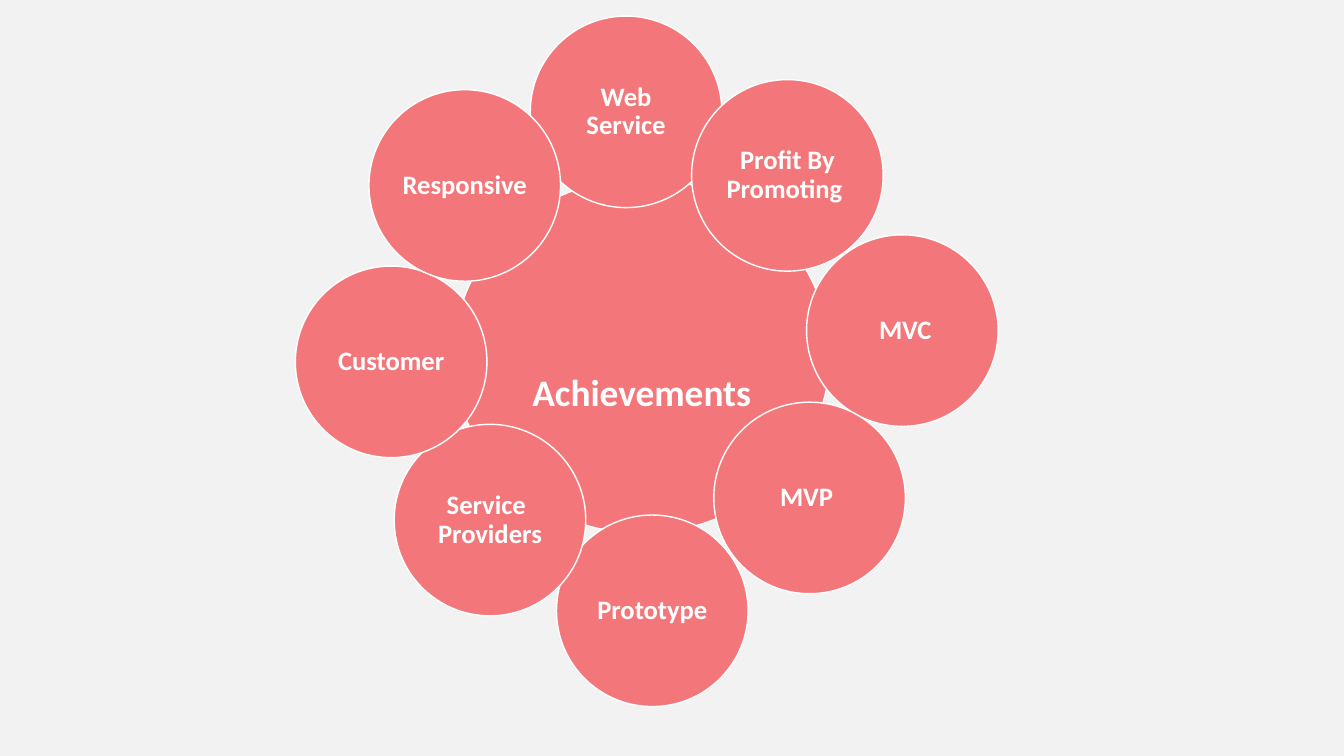
import pptx
import pptx.dml.color
import pptx.enum.shapes
import pptx.enum.text
import pptx.util
from pptx.util import Inches

COLOURS = {"background": "F2F2F2", "circle": "F3777A", "white": "FFFFFF"}
CIRCLE_SIZE = 1.9

# Left, top, label, right-to-left; clockwise from the top
ACHIEVEMENTS = [
    (5.26, 0.16, "Web Service", False),
    (6.86, 0.79, "Profit By Promoting ", False),
    (8, 2.33, " MVC", False),
    (7.08, 3.99, "MVP ", False),
    (5.52, 5.11, "Prototype", False),
    (3.91, 4.21, " Service Providers", True),
    (2.93, 2.64, "Customer", True),
    (3.66, 0.89, "Responsive", False),
]


def colour(name):
    return pptx.dml.color.RGBColor.from_string(COLOURS[name])


def add_circle(page, left, top, width, height, label, size, inset):
    """Add a labelled ellipse and return it."""
    circle = page.shapes.add_shape(
        pptx.enum.shapes.MSO_SHAPE.OVAL,
        Inches(left), Inches(top), Inches(width), Inches(height))
    circle.shadow.inherit = False
    circle.fill.solid()
    circle.fill.fore_color.rgb = colour("circle")
    circle.line.color.rgb = colour("white")
    circle.line.width = pptx.util.Pt(1)

    frame = circle.text_frame
    frame.word_wrap = True
    frame.vertical_anchor = pptx.enum.text.MSO_ANCHOR.MIDDLE
    frame.margin_left = frame.margin_right = Inches(inset)
    frame.margin_top = frame.margin_bottom = Inches(inset)
    para = frame.paragraphs[0]
    para.alignment = pptx.enum.text.PP_ALIGN.CENTER
    para.line_spacing = 0.9
    span = para.add_run()
    span.text = label
    span.font.name = "Calibri"
    span.font.size = pptx.util.Pt(size)
    span.font.bold = True
    span.font.color.rgb = colour("white")
    return circle


deck = pptx.Presentation()
deck.slide_width = Inches(13.33)
deck.slide_height = Inches(7.5)
page = deck.slides.add_slide(deck.slide_layouts[6])
page.background.fill.solid()
page.background.fill.fore_color.rgb = colour("background")

# The central label is superscript and sits below the middle
hub = add_circle(page, 4.5, 1.77, 3.73, 3.52, "Achievements", 46, 0.06)
hub.text_frame.margin_top = Inches(1.03)
hub_span = hub.text_frame.paragraphs[0].runs[0]
hub_span.font._element.set("baseline", "30000")

for left, top, label, right_to_left in ACHIEVEMENTS:
    circle = add_circle(page, left, top, CIRCLE_SIZE, CIRCLE_SIZE, label, 19, 0.03)
    if right_to_left:
        circle.text_frame.paragraphs[0]._p.get_or_add_pPr().set("rtl", "1")

deck.save("out.pptx")
